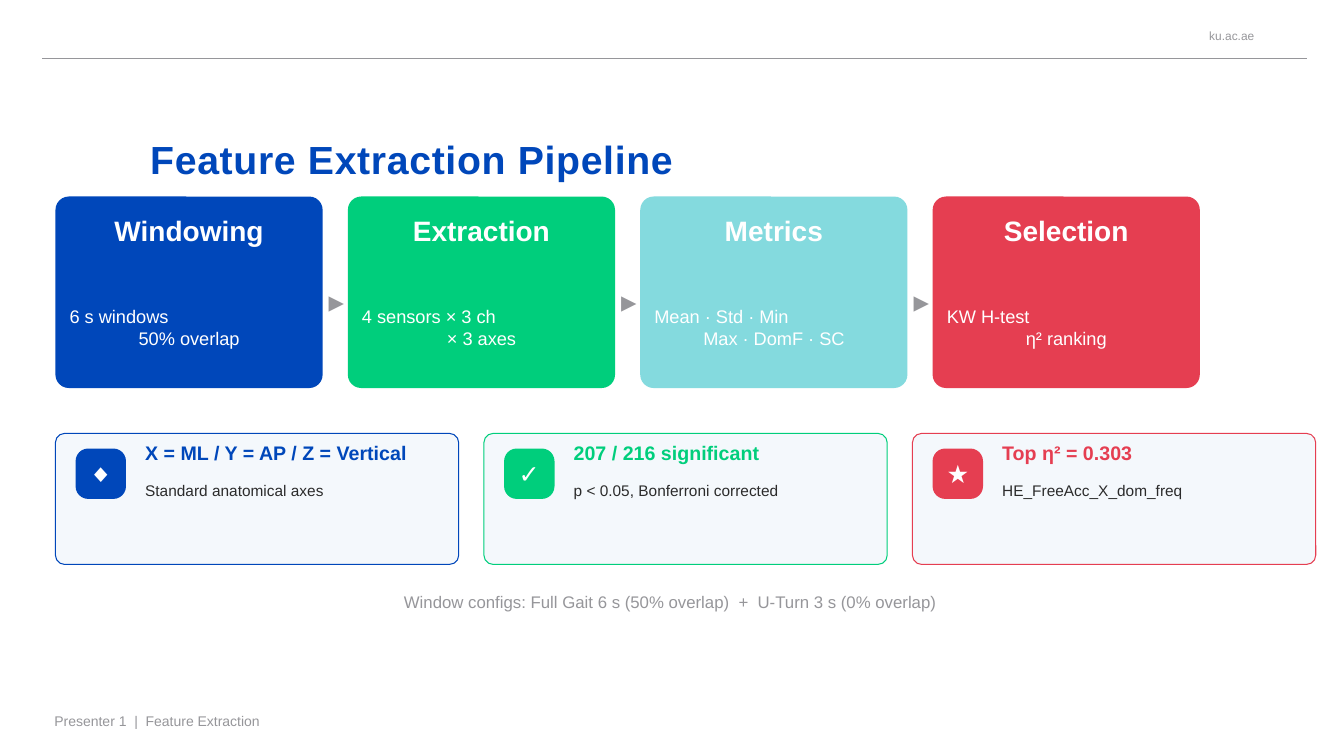
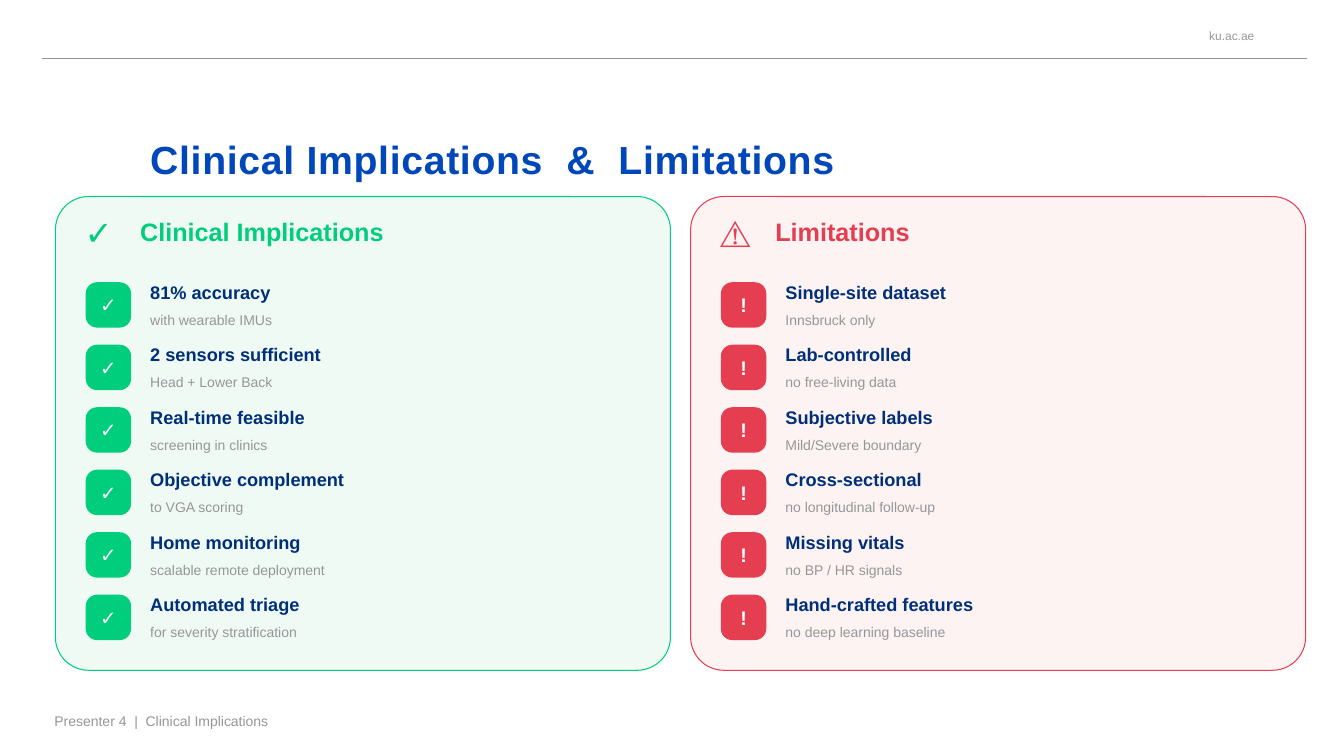
from lxml import etree
from pptx import Presentation
from pptx.dml.color import RGBColor
from pptx.enum.shapes import MSO_CONNECTOR, MSO_SHAPE
from pptx.enum.text import MSO_ANCHOR, MSO_AUTO_SIZE, PP_ALIGN
from pptx.oxml.ns import qn
from pptx.util import Inches, Pt

LEFT, CENTER, RIGHT = PP_ALIGN.LEFT, PP_ALIGN.CENTER, PP_ALIGN.RIGHT
TOP, MIDDLE, BOTTOM = MSO_ANCHOR.TOP, MSO_ANCHOR.MIDDLE, MSO_ANCHOR.BOTTOM
ROUNDED, STRAIGHT = MSO_SHAPE.ROUNDED_RECTANGLE, MSO_CONNECTOR.STRAIGHT
GROW = MSO_AUTO_SIZE.SHAPE_TO_FIT_TEXT

COLORS = {
    "blue": "0047BA", "green": "00CE7C", "teal": "84DADE", "red": "E53E51",
    "navy": "002F7A", "gray": "96969A", "ink": "2B2B2B", "white": "FFFFFF",
    "card": "F4F8FC", "green_tint": "F0FAF5", "red_tint": "FDF3F3",
}
FONT = "Arial"
LINE_WIDTH = Pt(0.75)
MARGIN = 0.55
BODY_TOP = 1.95

STAGES = [
    ("Windowing", ["6 s windows", "50% overlap"], "blue"),
    ("Extraction", ["4 sensors × 3 ch", "× 3 axes"], "green"),
    ("Metrics", ["Mean · Std · Min", "Max · DomF · SC"], "teal"),
    ("Selection", ["KW H-test", "η² ranking"], "red"),
]
FINDINGS = [
    ("◆", "X = ML / Y = AP / Z = Vertical", "Standard anatomical axes", "blue"),
    ("✓", "207 / 216 significant", "p < 0.05, Bonferroni corrected", "green"),
    ("★", "Top η² = 0.303", "HE_FreeAcc_X_dom_freq", "red"),
]
IMPLICATIONS = [
    ("81% accuracy", "with wearable IMUs"),
    ("2 sensors sufficient", "Head + Lower Back"),
    ("Real-time feasible", "screening in clinics"),
    ("Objective complement", "to VGA scoring"),
    ("Home monitoring", "scalable remote deployment"),
    ("Automated triage", "for severity stratification"),
]
LIMITATIONS = [
    ("Single-site dataset", "Innsbruck only"),
    ("Lab-controlled", "no free-living data"),
    ("Subjective labels", "Mild/Severe boundary"),
    ("Cross-sectional", "no longitudinal follow-up"),
    ("Missing vitals", "no BP / HR signals"),
    ("Hand-crafted features", "no deep learning baseline"),
]


def rgb(color):
    return RGBColor.from_string(COLORS[color])


class Deck:
    """Holds the presentation, its style and the slide being built."""

    def __init__(self):
        self.presentation = Presentation()
        self.presentation.slide_width = Inches(13.33)
        self.presentation.slide_height = Inches(7.5)
        self.slide = None

    def new_slide(self, title, footer):
        """Start a slide with the shared header, title and footer."""
        self.slide = self.presentation.slides.add_slide(self.presentation.slide_layouts[6])
        self.text("ku.ac.ae", 11.39, 0.22, 1.05, 0.27, 8.5, "gray",
                  aligns=[RIGHT], anchor=MIDDLE, insets=(0, 0))
        self.rule(0.42, 12.96, 0.58)
        self.text(title, 1.49, 0.59, 10.93, 1.22, 28, "blue", bold=True,
                  anchor=BOTTOM, insets=(0, 0), spacing=0.5)
        self.text(footer, 0.5, 7.05, 8, 0.3, 10, "gray")

    def rule(self, start, end, top):
        connector = self.slide.shapes.add_connector(
            STRAIGHT, Inches(start), Inches(top), Inches(end), Inches(top))
        connector.line.color.rgb = rgb("gray")
        connector.line.width = LINE_WIDTH
        etree.SubElement(connector._element.spPr, qn("a:effectLst"))

    def text(self, lines, left, top, width, height, size, color, bold=False,
             aligns=(LEFT,), anchor=TOP, insets=(0.04, 0.02), spacing=0):
        """Add a text box; several lines take one alignment each."""
        box = self.slide.shapes.add_textbox(
            Inches(left), Inches(top), Inches(width), Inches(height))
        self.fill_text(box, lines, size, color, bold, aligns, anchor, insets, spacing)
        if any(insets):
            box.text_frame.auto_size = GROW

    def fill_text(self, shape, lines, size, color, bold, aligns, anchor,
                  insets, spacing=0):
        frame = shape.text_frame
        side, edge = (Inches(inset) for inset in insets)
        frame_format = {"word_wrap": True, "vertical_anchor": anchor,
                        "margin_left": side, "margin_right": side,
                        "margin_top": edge, "margin_bottom": edge}
        for name, value in frame_format.items():
            setattr(frame, name, value)
        frame.text = lines if isinstance(lines, str) else "\n".join(lines)
        font_format = {"name": FONT, "size": Pt(size), "bold": bold}
        for paragraph, align in zip(frame.paragraphs, aligns):
            paragraph.alignment = align
            for run in paragraph.runs:
                for name, value in font_format.items():
                    setattr(run.font, name, value)
                run.font.color.rgb = rgb(color)
                if spacing:
                    run._r.get_or_add_rPr().set("spc", str(int(spacing * 100)))

    def panel(self, left, top, width, height, fill, border=None, rounding=0.07):
        shape = self.slide.shapes.add_shape(
            ROUNDED, Inches(left), Inches(top), Inches(width), Inches(height))
        shape.adjustments[0] = rounding
        shape.shadow.inherit = False
        shape.fill.solid()
        shape.fill.fore_color.rgb = rgb(fill)
        if border:
            shape.line.color.rgb = rgb(border)
            shape.line.width = LINE_WIDTH
        else:
            shape.line.fill.background()
        return shape

    def badge(self, symbol, left, top, side, size, fill):
        shape = self.panel(left, top, side, side, fill, rounding=0.25)
        self.fill_text(shape, symbol, size, "white", True, [CENTER], MIDDLE, insets=(0, 0))

    def stage(self, left, name, details, color):
        self.panel(left, BODY_TOP, 2.65, 1.9, color)
        self.text(name, left, 2.1, 2.65, 0.55, 20, "white", bold=True, aligns=[CENTER])
        self.text(details, left + 0.1, 2.75, 2.45, 1, 13, "white",
                  aligns=[LEFT, CENTER], anchor=MIDDLE)

    def stage_arrow(self, left):
        self.text("▸", left, 2.8, 0.21, 0.35, 22, "gray", bold=True,
                  aligns=[CENTER], anchor=MIDDLE)

    def finding(self, left, symbol, heading, detail, color):
        self.panel(left, 4.3, 4, 1.3, "card", color)
        self.badge(symbol, left + 0.2, 4.45, 0.5, 18, color)
        self.text(heading, left + 0.85, 4.35, 3.1, 0.45, 14, color, bold=True)
        self.text(detail, left + 0.85, 4.75, 3.1, 0.4, 11, "ink")

    def checklist(self, left, heading, icon, icon_size, symbol, items, color):
        """Add a tinted panel with a heading and one badge per item."""
        self.panel(left, BODY_TOP, 6.1, 4.7, f"{color}_tint", color)
        self.text(icon, left + 0.25, 2.05, 0.5, 0.5, icon_size, color,
                  bold=True, anchor=MIDDLE)
        self.text(heading, left + 0.8, 2.05, 5.1, 0.5, 18, color,
                  bold=True, anchor=MIDDLE)
        for row, (item, detail) in enumerate(items):
            top = 2.8 + row * 0.62
            self.badge(symbol, left + 0.3, top, 0.45, 14, color)
            self.text(item, left + 0.9, top - 0.03, 5.05, 0.35, 13, "navy", bold=True)
            self.text(detail, left + 0.9, top + 0.27, 5.05, 0.3, 10, "gray")


def build_pipeline(deck):
    deck.new_slide("Feature Extraction Pipeline", "Presenter 1  |  Feature Extraction")
    for index, stage in enumerate(STAGES):
        left = MARGIN + index * 2.9
        deck.stage(left, *stage)
        if index < len(STAGES) - 1:
            deck.stage_arrow(left + 2.67)
    for index, finding in enumerate(FINDINGS):
        deck.finding(MARGIN + index * 4.25, *finding)
    deck.text("Window configs: Full Gait 6 s (50% overlap)  +  U-Turn 3 s (0% overlap)",
              MARGIN, 5.85, 12.2, 0.4, 12, "gray", aligns=[CENTER])


def build_implications(deck):
    deck.new_slide("Clinical Implications  &  Limitations",
                   "Presenter 4  |  Clinical Implications")
    deck.checklist(MARGIN, "Clinical Implications", "✓", 24, "✓", IMPLICATIONS, "green")
    deck.checklist(MARGIN + 6.3, "Limitations", "⚠", 22, "!", LIMITATIONS, "red")


def main():
    deck = Deck()
    build_pipeline(deck)
    build_implications(deck)
    deck.presentation.save("out.pptx")


if __name__ == "__main__":
    main()
